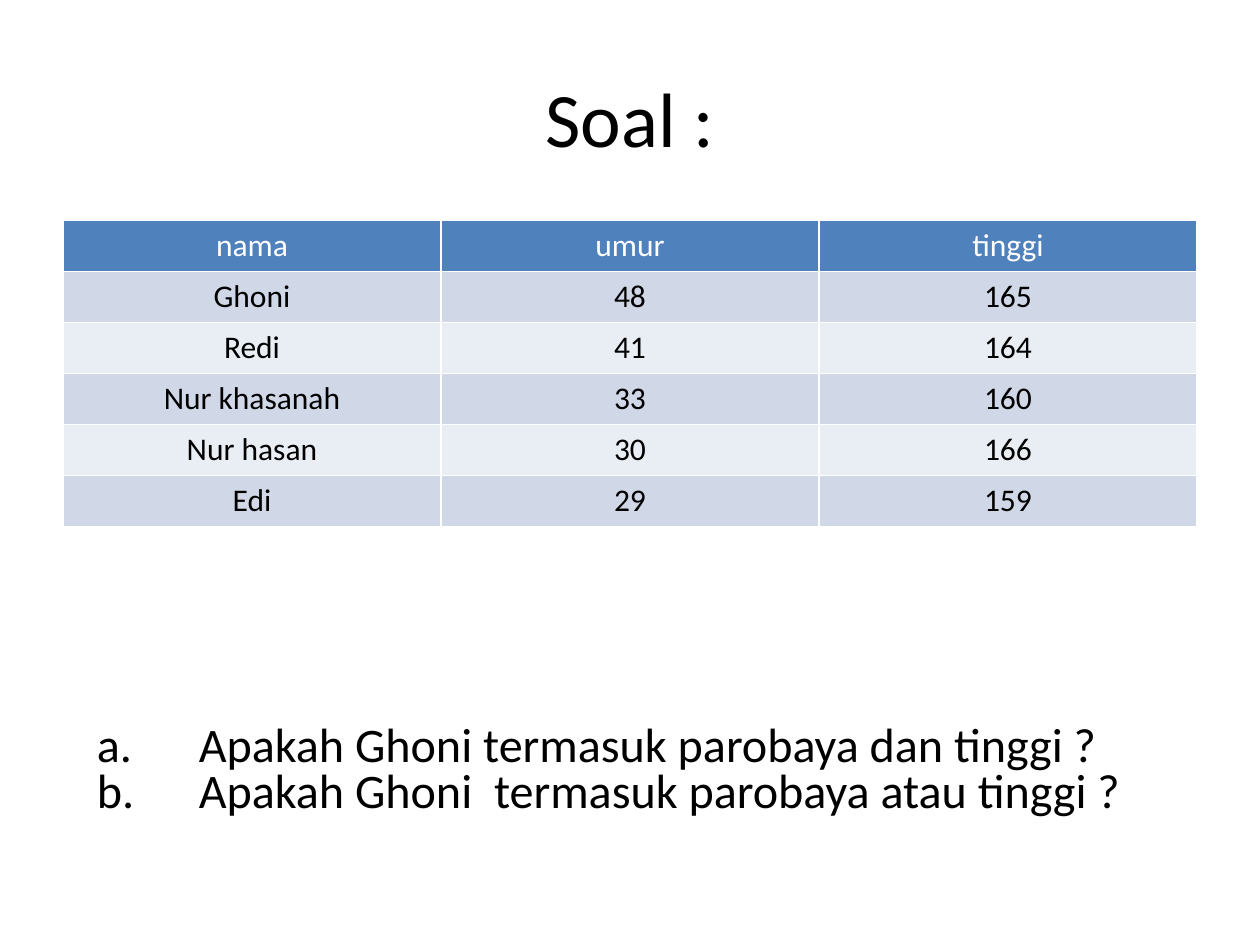
from lxml import etree
from pptx import Presentation
from pptx.dml.color import RGBColor
from pptx.enum.text import MSO_ANCHOR, PP_ALIGN
from pptx.oxml.ns import qn
from pptx.util import Inches, Pt

MIDDLE = MSO_ANCHOR.MIDDLE
CENTER = PP_ALIGN.CENTER
LEFT = PP_ALIGN.LEFT

FONT = "Calibri"
COLORS = {
    "text": "000000",
    "light": "FFFFFF",
    "head": "4F81BD",
    "odd": "D0D8E8",
    "even": "E9EDF4",
}
ROWS = [
    ("nama", "umur", "tinggi"),
    ("Ghoni", "48", "165"),
    ("Redi", "41", "164"),
    ("Nur khasanah", "33", "160"),
    ("Nur hasan", "30", "166"),
    ("Edi", "29", "159"),
]
TASKS = [
    "Apakah Ghoni termasuk parobaya dan tinggi ?",
    "Apakah Ghoni  termasuk parobaya atau tinggi ?",
]


def color(name):
    return RGBColor.from_string(COLORS[name])


def style(para, size, tint="text", align=LEFT):
    para.alignment = align
    font = para.font
    font.name = FONT
    font.size = Pt(size)
    font.bold = False
    font.color.rgb = color(tint)


def number(para):
    props = para._p.get_or_add_pPr()
    props.set("marL", str(Inches(0.81)))
    props.set("indent", str(Inches(-0.81)))
    etree.SubElement(props, qn("a:buAutoNum"), type="alphaLcPeriod")
    para.line_spacing = 0.8


def add_text(slide, left, top, width, height, lines):
    box = slide.shapes.add_textbox(
        Inches(left), Inches(top), Inches(width), Inches(height))
    frame = box.text_frame
    frame.word_wrap = True
    frame.vertical_anchor = MIDDLE
    frame.text = "\n".join(lines)
    return frame.paragraphs


def add_grid(slide):
    table = slide.shapes.add_table(
        len(ROWS), len(ROWS[0]),
        Inches(0.5), Inches(1.75), Inches(9), Inches(2.43)).table
    for i, row in enumerate(ROWS):
        fill = "head" if i == 0 else "odd" if i % 2 else "even"
        tint = "text" if i else "light"
        for j, word in enumerate(row):
            cell = table.cell(i, j)
            cell.text = word
            cell.fill.solid()
            cell.fill.fore_color.rgb = color(fill)
            style(cell.text_frame.paragraphs[0], 18, tint, CENTER)


def main():
    deck = Presentation()
    deck.slide_width = Inches(10)
    deck.slide_height = Inches(7.5)
    slide = deck.slides.add_slide(deck.slide_layouts[6])

    for para in add_text(slide, 0.5, 0.3, 9, 1.25, ["Soal :"]):
        style(para, 44, align=CENTER)
    add_grid(slide)
    for para in add_text(slide, 0.67, 5.5, 9, 1.25, TASKS):
        number(para)
        style(para, 27.5)

    deck.save("out.pptx")


if __name__ == "__main__":
    main()
